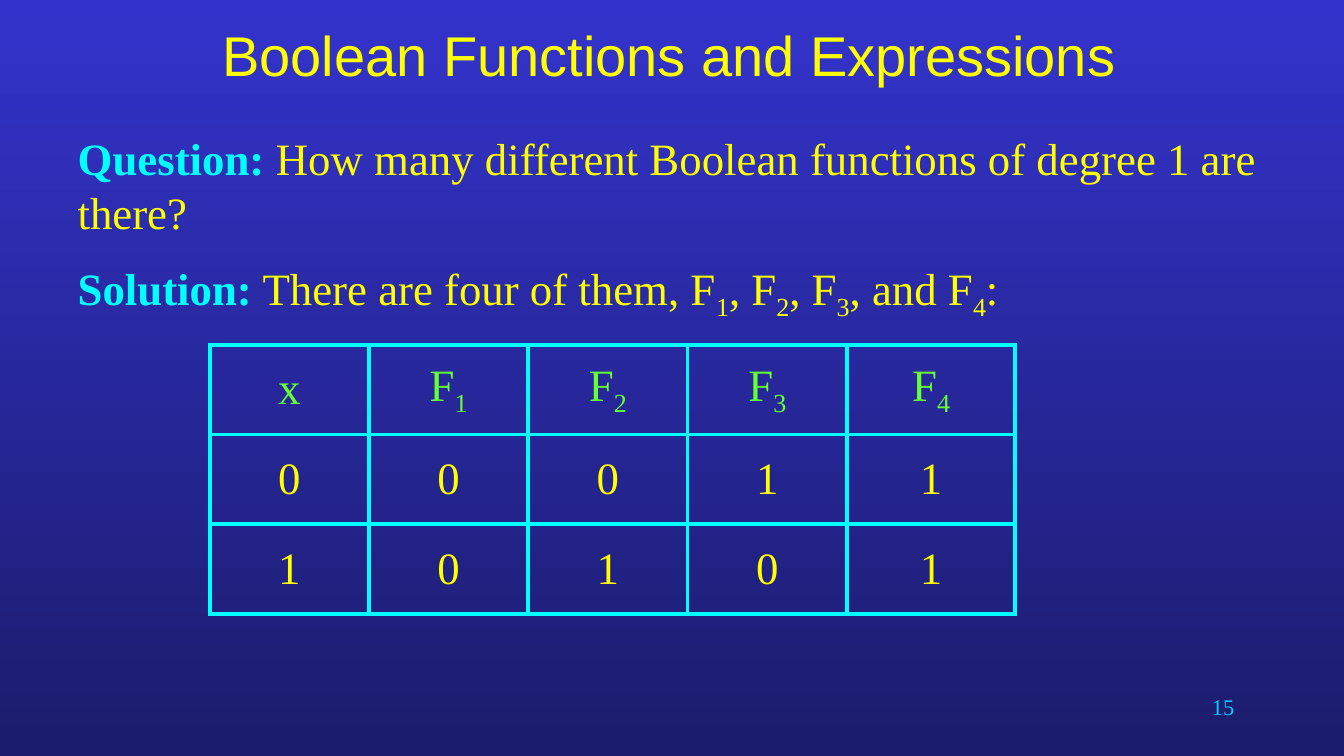
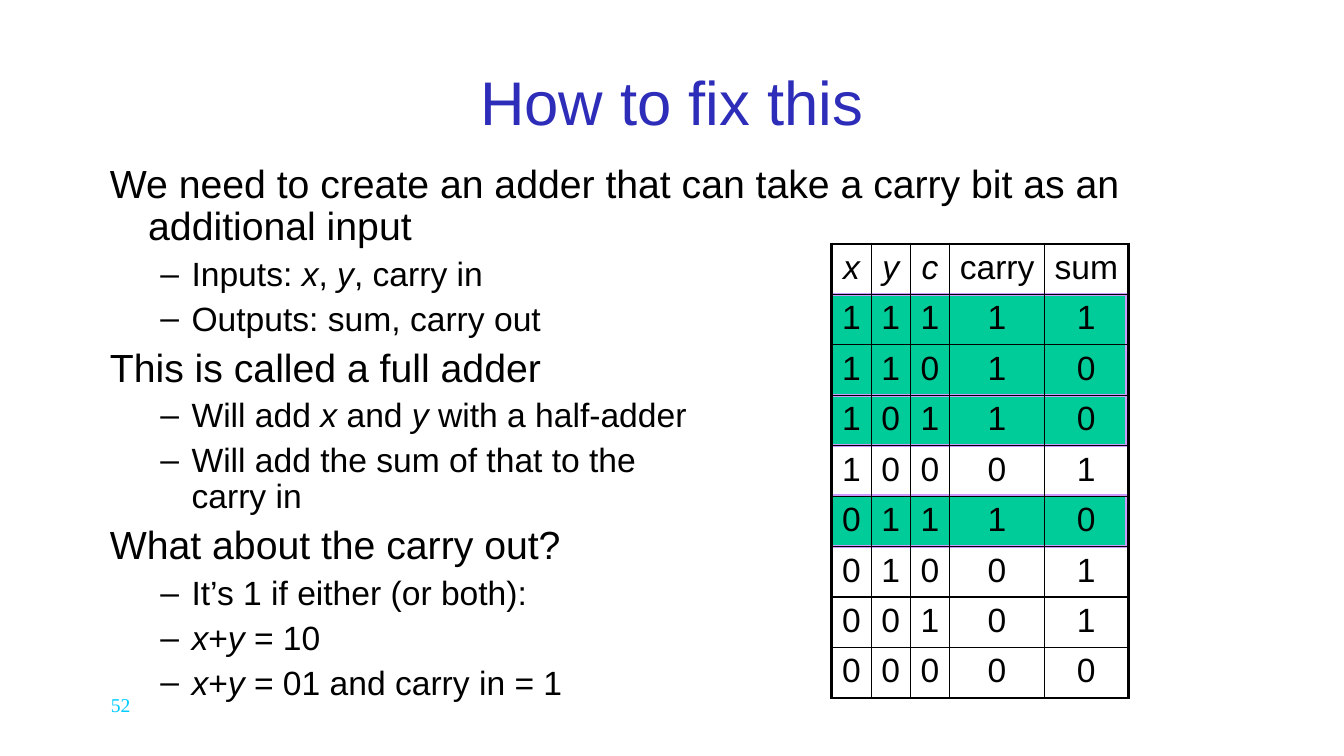
from lxml import etree
from pptx import Presentation
from pptx import util as u
from pptx.dml.color import RGBColor
from pptx.enum import shapes, text
from pptx.oxml import ns

SANS, SERIF = "Arial", "Times New Roman"
YELLOW = RGBColor(0xFF, 0xFF, 0x00)
CYAN = RGBColor(0x00, 0xFF, 0xFF)
SKY = RGBColor(0x00, 0xCC, 0xFF)
LIME = RGBColor(0x66, 0xFF, 0x33)
BLUE = RGBColor(0x33, 0x33, 0xCC)
NAVY = RGBColor(0x1C, 0x1C, 0x6C)
INDIGO = RGBColor(0x2D, 0x2D, 0xB9)
GREEN = RGBColor(0x00, 0xCC, 0x99)
LILAC = RGBColor(0xCC, 0x99, 0xFF)
BLACK = RGBColor(0x00, 0x00, 0x00)
WHITE = RGBColor(0xFF, 0xFF, 0xFF)

# *…* marks emphasis and _…_ marks a subscript
QUESTION = [
    "*Question:* How many different Boolean functions of degree 1 are there?",
    "*Solution:* There are four of them, F_1_, F_2_, F_3_, and F_4_:",
]
FUNCTIONS = [
    ["x", "F_1_", "F_2_", "F_3_", "F_4_"],
    ["0", "0", "0", "1", "1"],
    ["1", "0", "1", "0", "1"],
]
ADDER_NOTES = [
    (0, "We need to create an adder that can take a carry bit as an additional input"),
    (1, "Inputs: *x*, *y*, carry in"),
    (1, "Outputs: sum, carry out"),
    (0, "This is called a full adder"),
    (1, "Will add *x* and *y* with a half-adder"),
    (1, "Will add the sum of that to the \ncarry in"),
    (0, "What about the carry out?"),
    (1, "It’s 1 if either (or both):"),
    (1, "*x*+*y* = 10"),
    (1, "*x*+*y* = 01 and carry in = 1"),
]
ADDER = [["*x*", "*y*", "*c*", "carry", "sum"]] + [
    list(row) for row in ("11111", "11010", "10110", "10001",
                          "01110", "01001", "00101", "00000")
]
CARRY_BANDS = [(2.92, 1), (3.92, 0.5), (4.92, 0.5)]
NOTE_LEVELS = [
    dict(size=28, before=7, margin=0.38, indent=-0.38, bullet=None),
    dict(size=24, before=6, margin=0.81, indent=-0.31, bullet="–"),
]


def inches(*values):
    return [u.Inches(value) for value in values]


def bold_cyan(font):
    font.bold = True
    font.color.rgb = CYAN


def italic(font):
    font.italic = True


def set_font(font, name, size, color):
    font.name, font.size, font.color.rgb = name, u.Pt(size), color


def add_runs(paragraph, content, emphasise=italic):
    for i, phrase in enumerate(content.split("*")):
        for j, piece in enumerate(phrase.split("_")):
            for k, line in enumerate(piece.split("\n")):
                if k:
                    paragraph.add_line_break()
                if not line:
                    continue
                run = paragraph.add_run()
                run.text = line
                if i % 2:
                    emphasise(run.font)
                if j % 2:
                    run.font._element.set("baseline", "-25000")


def set_indent(paragraph, margin=0, indent=0, bullet=None):
    properties = paragraph._p.get_or_add_pPr()
    properties.set("marL", str(u.Inches(margin)))
    properties.set("indent", str(u.Inches(indent)))
    mark = etree.SubElement(properties, ns.qn("a:buChar" if bullet else "a:buNone"))
    if bullet:
        mark.set("char", bullet)


def place(shape, box):
    shape.left, shape.top, shape.width, shape.height = inches(*box)
    shape.text_frame.word_wrap = True
    shape.text_frame.auto_size = text.MSO_AUTO_SIZE.NONE


def add_slide(presentation, title, title_box, size, color):
    slide = presentation.slides.add_slide(presentation.slide_layouts[1])
    place(slide.shapes.title, title_box)
    slide.shapes.title.text_frame.vertical_anchor = text.MSO_ANCHOR.MIDDLE
    paragraph = slide.shapes.title.text_frame.paragraphs[0]
    paragraph.alignment = text.PP_ALIGN.CENTER
    set_font(paragraph.font, SANS, size, color)
    add_runs(paragraph, title)
    return slide


def add_number(slide, number, left, size, alignment):
    box = slide.shapes.add_textbox(*inches(left, 6.83, 2.78, 0.5))
    box.text_frame.word_wrap = True
    paragraph = box.text_frame.paragraphs[0]
    paragraph.alignment = alignment
    set_font(paragraph.font, SERIF, size, SKY)
    add_runs(paragraph, number)


def body_paragraphs(slide, box, count):
    body = slide.placeholders[1]
    place(body, box)
    frame = body.text_frame
    return [frame.paragraphs[0]] + [frame.add_paragraph() for _ in range(count - 1)]


def set_borders(cell, color, widths):
    properties = cell._tc.get_or_add_tcPr()
    for side, width in zip("LRTB", widths):
        line = etree.SubElement(properties, ns.qn(f"a:ln{side}"), w=str(u.Pt(width)))
        fill = etree.SubElement(line, ns.qn("a:solidFill"))
        etree.SubElement(fill, ns.qn("a:srgbClr"), val=str(color))


def add_grid(slide, rows, box, columns, font, size, colors, border, inner, outer, anchor):
    table = slide.shapes.add_table(len(rows), len(columns), *inches(*box)).table
    table.first_row = table.horz_banding = False
    for column, width in zip(table.columns, columns):
        column.width = u.Inches(width)
    last_row, last_column = len(rows) - 1, len(columns) - 1
    for i, row in enumerate(rows):
        for j, content in enumerate(row):
            cell = table.cell(i, j)
            edges = (j == 0, j == last_column, i == 0, i == last_row)
            set_borders(cell, border, [outer if edge else inner for edge in edges])
            cell.fill.background()
            cell.margin_left = cell.margin_right = u.Inches(0.05)
            cell.vertical_anchor = anchor
            paragraph = cell.text_frame.paragraphs[0]
            paragraph.alignment = text.PP_ALIGN.CENTER
            set_font(paragraph.font, font, size, colors[i > 0])
            add_runs(paragraph, content)


def build_functions(presentation):
    slide = add_slide(presentation, "Boolean Functions and Expressions",
                      (1.92, 0, 9.42, 1.08), 40, YELLOW)
    fill = slide.background.fill
    fill.gradient()
    fill.gradient_angle = 270
    for stop, color in zip(fill.gradient_stops, (BLUE, NAVY)):
        stop.color.rgb = color
    add_number(slide, "15", 9.56, 16, text.PP_ALIGN.RIGHT)
    paragraphs = body_paragraphs(slide, (0.67, 1.25, 12.08, 1.92), len(QUESTION))
    for i, (paragraph, content) in enumerate(zip(paragraphs, QUESTION)):
        set_indent(paragraph)
        paragraph.space_before = u.Pt(8 if i else 3)
        paragraph.space_after = u.Pt(8)
        set_font(paragraph.font, SERIF, 32, YELLOW)
        add_runs(paragraph, content, bold_cyan)
    add_grid(slide, FUNCTIONS, (2.08, 3.42, 8, 2.67), [1.58] * 4 + [1.67],
             SERIF, 32, (LIME, YELLOW), CYAN, 3, 3, text.MSO_ANCHOR.MIDDLE)


def build_adder(presentation):
    slide = add_slide(presentation, "How to fix this", (1, 0.5, 11.33, 1), 44, INDIGO)
    slide.background.fill.solid()
    slide.background.fill.fore_color.rgb = WHITE
    add_number(slide, "52", 1, 14, text.PP_ALIGN.LEFT)
    for top, height in CARRY_BANDS:
        band = slide.shapes.add_shape(shapes.MSO_SHAPE.RECTANGLE,
                                      *inches(8.25, top, 2.92, height))
        band.shadow.inherit = False
        band.fill.solid()
        band.fill.fore_color.rgb = GREEN
        band.line.color.rgb = LILAC
        band.line.width = u.Pt(2)
    paragraphs = body_paragraphs(slide, (0.99, 1.58, 11.33, 4.67), len(ADDER_NOTES))
    for i, (paragraph, (level, content)) in enumerate(zip(paragraphs, ADDER_NOTES)):
        style = NOTE_LEVELS[level]
        paragraph.level = level
        set_indent(paragraph, style["margin"], style["indent"], style["bullet"])
        paragraph.line_spacing = 0.9
        paragraph.space_before = u.Pt(style["before"] if i else 3)
        set_font(paragraph.font, SANS, style["size"], BLACK)
        add_runs(paragraph, content)
    add_grid(slide, ADDER, (8.25, 2.42, 2.94, 4.45), [0.39] * 3 + [0.94, 0.83],
             SANS, 24, (BLACK, BLACK), BLACK, 1, 2.25, text.MSO_ANCHOR.TOP)


def main():
    presentation = Presentation()
    presentation.slide_width, presentation.slide_height = inches(13.33, 7.5)
    build_functions(presentation)
    build_adder(presentation)
    presentation.save("out.pptx")


if __name__ == "__main__":
    main()
